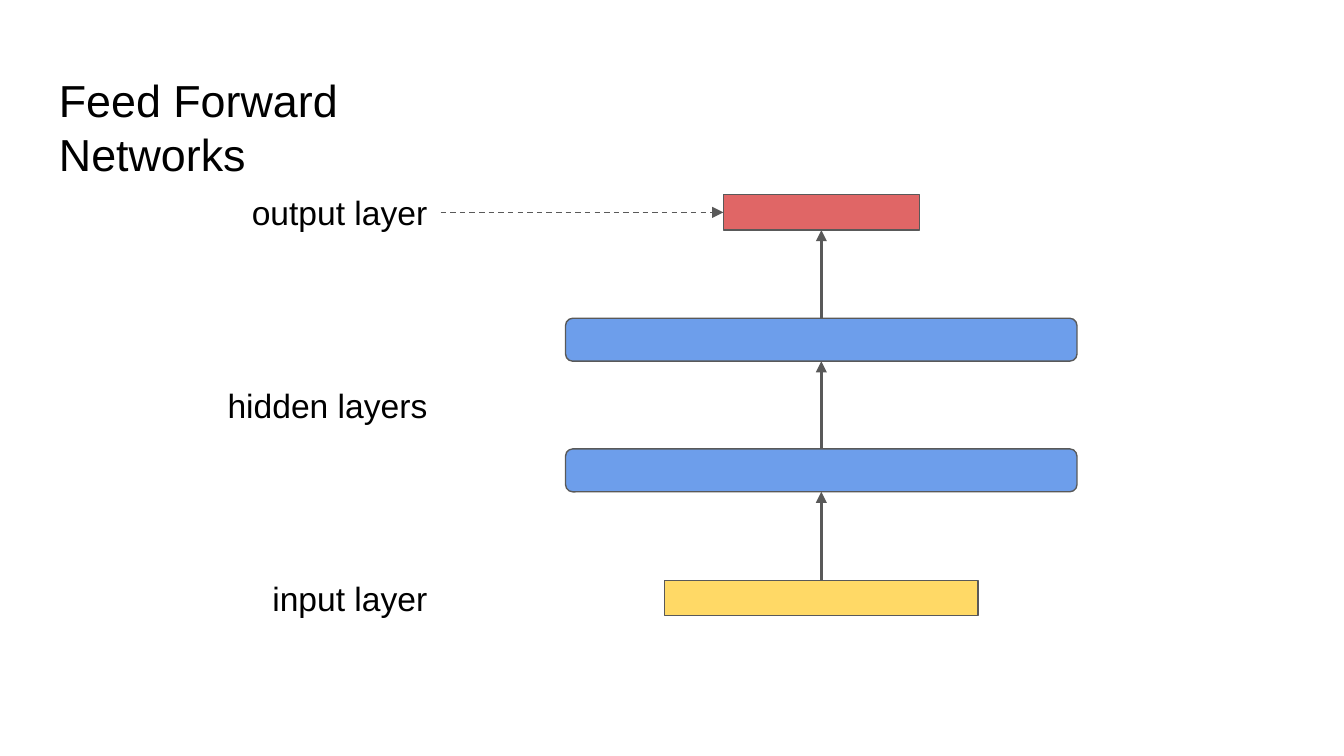
from lxml import etree
from pptx import Presentation
from pptx.dml.color import RGBColor
from pptx.enum.dml import MSO_LINE
from pptx.enum.shapes import MSO_CONNECTOR, MSO_SHAPE
from pptx.enum.text import MSO_ANCHOR, PP_ALIGN
from pptx.oxml.ns import qn
from pptx.util import Pt

COLORS = {
    "text": "000000",
    "line": "595959",
    "input": "FFD966",
    "hidden": "6D9EEB",
    "output": "E06666",
}
CENTER_X = 440
TOP, LEFT, BOTTOM, RIGHT = range(4)


def color(name):
    return RGBColor.from_string(COLORS[name])


def add_text(slide, text, left, top, width, height, size,
             align=PP_ALIGN.LEFT, anchor=MSO_ANCHOR.TOP):
    box = slide.shapes.add_textbox(Pt(left), Pt(top), Pt(width), Pt(height))
    frame = box.text_frame
    frame.word_wrap = True
    frame.vertical_anchor = anchor
    frame.margin_left = frame.margin_right = Pt(7.2)
    frame.margin_top = frame.margin_bottom = Pt(7.2)
    frame.text = text
    paragraph = frame.paragraphs[0]
    paragraph.alignment = align
    font = paragraph.runs[0].font
    font.name = "Arial"
    font.size = Pt(size)
    font.color.rgb = color("text")
    return box


def add_label(slide, text, center_y):
    return add_text(slide, text, 82, center_y - 18, 154, 36, 18, PP_ALIGN.RIGHT)


def add_layer(slide, kind, center_y, width, height, preset=MSO_SHAPE.RECTANGLE):
    """Add a layer block centred on the network's vertical axis."""
    shape = slide.shapes.add_shape(
        preset, Pt(CENTER_X - width / 2), Pt(center_y - height / 2),
        Pt(width), Pt(height))
    shape.shadow.inherit = False
    shape.fill.solid()
    shape.fill.fore_color.rgb = color(kind)
    shape.line.color.rgb = color("line")
    shape.line.width = Pt(0.75)
    return shape


def add_arrow(slide, start, start_side, end, end_side, width, dash=None):
    arrow = slide.shapes.add_connector(MSO_CONNECTOR.STRAIGHT, 0, 0, 0, 0)
    arrow.begin_connect(start, start_side)
    arrow.end_connect(end, end_side)
    arrow.line.color.rgb = color("line")
    arrow.line.width = Pt(width)
    if dash:
        arrow.line.dash_style = dash
    properties = arrow._element.spPr
    etree.SubElement(properties.find(qn("a:ln")), qn("a:tailEnd"), type="triangle")
    etree.SubElement(properties, qn("a:effectLst"))


def main():
    presentation = Presentation()
    presentation.slide_width = Pt(720)
    presentation.slide_height = Pt(405)
    slide = presentation.slides.add_slide(presentation.slide_layouts[6])

    add_text(slide, "Feed Forward Networks", 24.5, 44, 221, 59.8, 24,
             anchor=MSO_ANCHOR.BOTTOM)

    input_y, hidden_ys, output_y = 320.4, (252, 182), 113.8
    input_layer = add_layer(slide, "input", input_y, 168, 19)
    hidden_layers = [
        add_layer(slide, "hidden", y, 274, 23, MSO_SHAPE.ROUNDED_RECTANGLE)
        for y in hidden_ys]
    output_layer = add_layer(slide, "output", output_y, 105, 19)

    layers = [input_layer, *hidden_layers, output_layer]
    for lower, upper in zip(layers, layers[1:]):
        add_arrow(slide, lower, TOP, upper, BOTTOM, 1.5)

    add_label(slide, "input layer", input_y)
    add_label(slide, "hidden layers", sum(hidden_ys) / 2)
    output_label = add_label(slide, "output layer", output_y)
    add_arrow(slide, output_label, RIGHT, output_layer, LEFT, 0.75, MSO_LINE.DASH)

    presentation.save("out.pptx")


if __name__ == "__main__":
    main()
